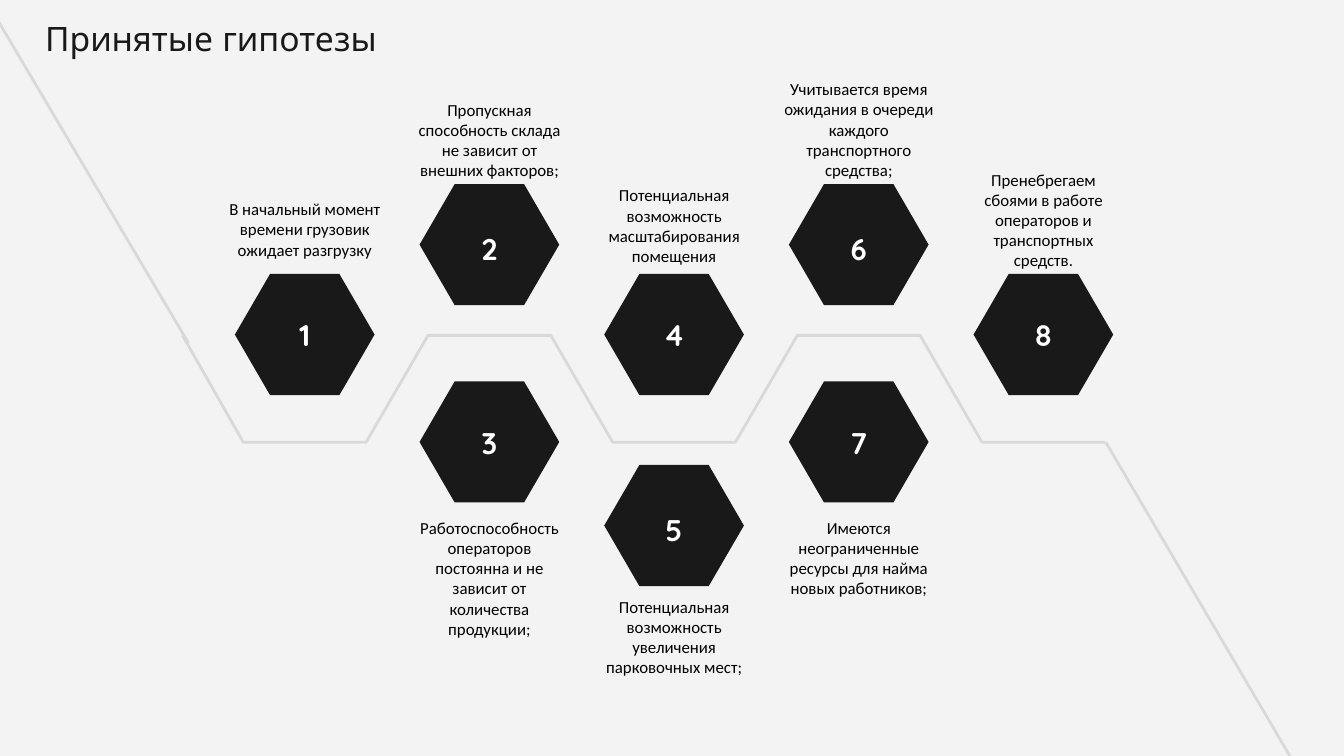
from dataclasses import dataclass

from lxml.etree import SubElement
from pptx import Presentation
from pptx.dml.color import RGBColor
from pptx.enum.shapes import MSO_CONNECTOR, MSO_SHAPE
from pptx.enum.text import MSO_ANCHOR, PP_ALIGN
from pptx.oxml.ns import qn
from pptx.util import Cm, Pt


@dataclass(frozen=True)
class Theme:
    background: RGBColor = RGBColor(0xF3, 0xF3, 0xF3)
    dark: RGBColor = RGBColor(0x19, 0x19, 0x19)
    track: RGBColor = RGBColor(0xD9, 0xD9, 0xD9)
    white: RGBColor = RGBColor(0xFF, 0xFF, 0xFF)
    black: RGBColor = RGBColor(0, 0, 0)
    heading_font: str = "Quicksand"
    body_font: str = "Calibri"
    title_size: Pt = Pt(18)
    number_size: Pt = Pt(16)
    caption_size: Pt = Pt(9)
    track_width: Pt = Pt(1.5)


theme = Theme()


def add_text(slide, text, left, top, width, height, font_name, size, color, bold=False):
    box = slide.shapes.add_textbox(Cm(left), Cm(top), Cm(width), Cm(height))
    text_frame = box.text_frame
    text_frame.word_wrap = True
    text_frame.vertical_anchor = MSO_ANCHOR.TOP
    text_frame.margin_left = text_frame.margin_right = Cm(0.25)
    text_frame.margin_top = text_frame.margin_bottom = Cm(0.25)
    text_frame.text = text
    paragraph = text_frame.paragraphs[0]
    paragraph.alignment = PP_ALIGN.CENTER
    font = paragraph.runs[0].font
    font.name, font.size, font.bold = font_name, size, bold
    font.color.rgb = color


presentation = Presentation()
presentation.slide_width = Cm(25.4)
presentation.slide_height = Cm(14.29)
slide = presentation.slides.add_slide(presentation.slide_layouts[6])
slide.background.fill.solid()
slide.background.fill.fore_color.rgb = theme.background

# Five equally spaced columns carry the hexagons and the track
column_centers = [5.76 + 3.49 * column for column in range(5)]

# Zigzag track: one flat step per column, low and high in turn
track_low, track_high, half_step = 8.36, 6.34, 1.16
track_points = [(3.45, track_high)]
for column, center in enumerate(column_centers):
    level = track_high if column % 2 else track_low
    track_points += [(center - half_step, level), (center + half_step, level)]
track_points = [(Cm(x), Cm(y)) for x, y in track_points]
builder = slide.shapes.build_freeform(*track_points[0], scale=1.0)
builder.add_line_segments(track_points[1:], close=False)
track = builder.convert_to_shape()
track.shadow.inherit = False
track.fill.background()
track.line.color.rgb = theme.track
track.line.width = theme.track_width

# Track ends running off to the slide corners
track_ends = [(3.56, 6.48, -0.15, 0.2), (24.43, 14.38, 20.9, track_low)]
for ends in track_ends:
    connector = slide.shapes.add_connector(
        MSO_CONNECTOR.STRAIGHT, *[Cm(length) for length in ends]
    )
    connector.line.color.rgb = theme.track
    connector.line.width = theme.track_width
    SubElement(connector._element.spPr, qn("a:effectLst"))

# Title
add_text(slide, "Принятые гипотезы", -0.15, 0.08, 8.28, 1.9,
         theme.heading_font, theme.title_size, theme.dark)

# Hypotheses in number order: column, hexagon top, number offset,
# caption top, caption width, caption
hypotheses = [
    (0, 5.18, 0.56, 3.51, 3.89,
     "В начальный момент времени грузовик ожидает разгрузку"),
    (1, 3.48, 0.64, 1.63, 3.43,
     "Пропускная способность склада не зависит от внешних факторов;"),
    (1, 7.21, 0.56, 9.53, 3.43,
     "Работоспособность операторов постоянна и не зависит от количества продукции;"),
    (2, 5.18, 0.56, 3.25, 3.43,
     "Потенциальная возможность масштабирования помещения"),
    (2, 8.79, 0.64, 11.02, 3.43,
     "Потенциальная возможность увеличения парковочных мест;"),
    (3, 3.48, 0.64, 1.24, 3.43,
     "Учитывается время ожидания в очереди каждого транспортного средства;"),
    (3, 7.21, 0.56, 9.53, 3.43,
     "Имеются неограниченные ресурсы для найма новых работников;"),
    (4, 5.18, 0.56, 2.95, 3.43,
     "Пренебрегаем сбоями в работе операторов и транспортных средств."),
]
hexagon_width, hexagon_height = 2.64, 2.29
number_width, number_height = 2.62, 1.02
caption_height = 1.68

for number, hypothesis in enumerate(hypotheses, start=1):
    column, top, number_offset, caption_top, caption_width, caption = hypothesis
    center = column_centers[column]

    hexagon = slide.shapes.add_shape(
        MSO_SHAPE.HEXAGON, Cm(center - hexagon_width / 2), Cm(top),
        Cm(hexagon_width), Cm(hexagon_height),
    )
    hexagon.adjustments[0] = 0.29
    hexagon.shadow.inherit = False
    hexagon.fill.solid()
    hexagon.fill.fore_color.rgb = theme.dark
    hexagon.line.fill.background()

    add_text(slide, str(number), center - number_width / 2, top + number_offset,
             number_width, number_height,
             theme.heading_font, theme.number_size, theme.white, bold=True)
    add_text(slide, caption, center - caption_width / 2, caption_top,
             caption_width, caption_height,
             theme.body_font, theme.caption_size, theme.black)

presentation.save("out.pptx")
